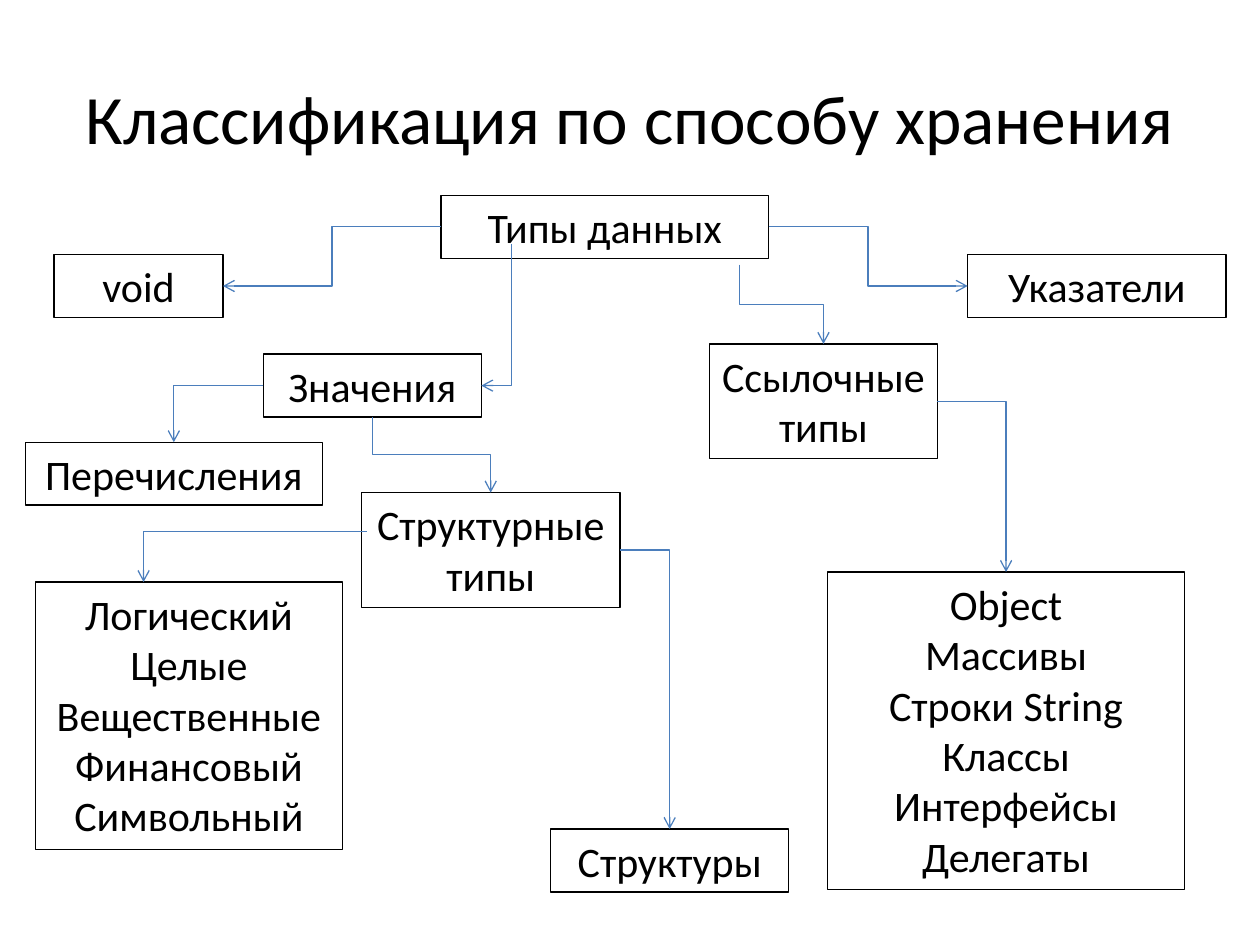
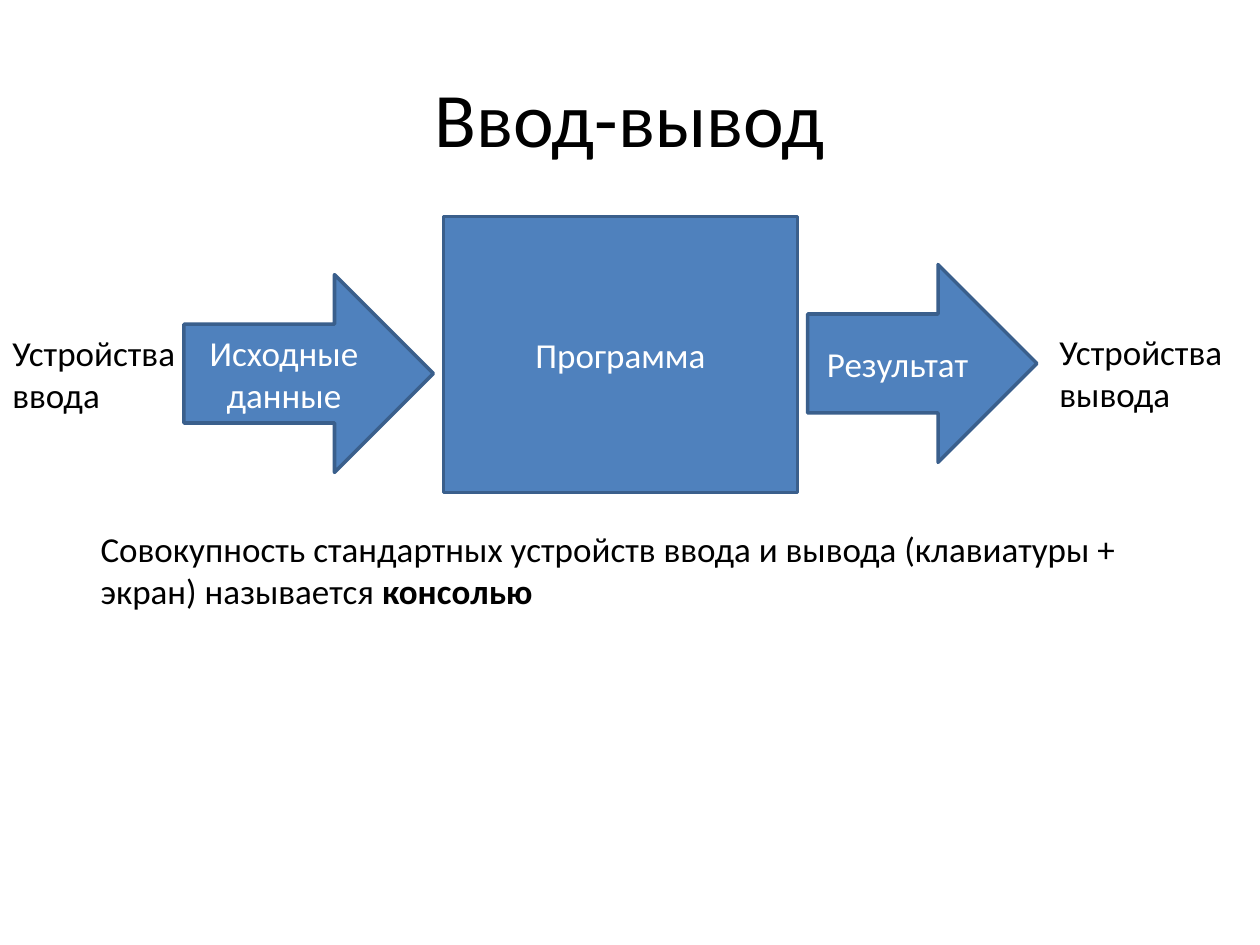
from lxml import etree
from pptx import Presentation
from pptx.dml.color import RGBColor
from pptx.enum import shapes, text
from pptx.oxml.ns import qn
from pptx.util import Inches, Pt

COLORS = {
    "text": "000000",
    "light": "FFFFFF",
    "frame": "000000",
    "arrow": "4B7EBC",
    "block": "4F81BD",
    "block_line": "3A5F8C",
}
FONT = "Calibri"
RECT = shapes.MSO_SHAPE.RECTANGLE
BLOCK_ARROW = shapes.MSO_SHAPE.RIGHT_ARROW
CENTER = text.PP_ALIGN.CENTER
LEFT = text.PP_ALIGN.LEFT
TOP = text.MSO_ANCHOR.TOP
MIDDLE = text.MSO_ANCHOR.MIDDLE


def rgb(name):
    return RGBColor.from_string(COLORS[name])


def point(x, y):
    return Inches(x), Inches(y)


def side(sp, name):
    dx, dy = {"left": (0, 0.5), "right": (1, 0.5), "top": (0.5, 0), "bottom": (0.5, 1)}[name]
    return int(sp.left + sp.width * dx), int(sp.top + sp.height * dy)


class Deck:
    def __init__(self):
        self.prs = Presentation()
        self.prs.slide_width = Inches(10)
        self.prs.slide_height = Inches(7.5)
        self.s = None

    def slide(self, title, size=44):
        self.s = self.prs.slides.add_slide(self.prs.slide_layouts[6])
        self.label([title], (0.5, 0.3, 9, 1.25), size, CENTER, MIDDLE)

    def fill_text(self, sp, lines, size, color="text", align=CENTER, anchor=TOP):
        tf = sp.text_frame
        tf.word_wrap = True
        tf.vertical_anchor = anchor
        for i, line in enumerate(lines):
            p = tf.paragraphs[0] if i == 0 else tf.add_paragraph()
            p.alignment = align
            p.font.size = Pt(size)
            p.font.name = FONT
            p.font.color.rgb = rgb(color)
            p.add_run().text = line

    def label(self, lines, at, size=20, align=LEFT, anchor=TOP):
        sp = self.s.shapes.add_textbox(*map(Inches, at))
        self.fill_text(sp, lines, size, align=align, anchor=anchor)
        return sp

    def shape(self, kind, at, line, width):
        sp = self.s.shapes.add_shape(kind, *map(Inches, at))
        sp.shadow.inherit = False
        sp.line.color.rgb = rgb(line)
        sp.line.width = Pt(width)
        return sp

    def box(self, lines, *at):
        sp = self.shape(RECT, at, "frame", 0.75)
        sp.fill.background()
        self.fill_text(sp, lines, 24)
        return sp

    def block(self, kind, label, *at):
        sp = self.shape(kind, at, "block_line", 2)
        sp.fill.solid()
        sp.fill.fore_color.rgb = rgb("block")
        self.fill_text(sp, [label], 20, "light", anchor=MIDDLE)

    def arrow(self, start, end, bends, vertical=False):
        (x1, y1), (x2, y2) = start, end
        rotation = None
        if vertical:
            rotation = 270 if x2 > x1 else 90
            mx, my = (x1 + x2) // 2, (y1 + y2) // 2
            half_w, half_h = (y2 - y1) // 2, abs(x2 - x1) // 2
            if rotation == 270:
                half_w = -half_w
            x1, x2 = mx - half_w, mx + half_w
            y1, y2 = my - half_h, my + half_h
        c = self.s.shapes.add_connector(shapes.MSO_CONNECTOR.ELBOW, x1, y1, x2, y2)
        c.line.color.rgb = rgb("arrow")
        c.line.width = Pt(0.75)
        pr = c._element.spPr
        pr.find(qn("a:prstGeom")).set("prst", f"bentConnector{bends + 1}")
        if rotation:
            pr.find(qn("a:xfrm")).set("rot", str(rotation * 60000))
        etree.SubElement(pr.find(qn("a:ln")), qn("a:tailEnd"), type="arrow")
        etree.SubElement(pr, qn("a:effectLst"))


def storage_slide(d):
    d.slide("Классификация по способу хранения", 39.6)
    types = d.box(["Типы данных"], 3.5, 1.55, 2.6, 0.5)
    void = d.box(["void"], 0.43, 2.02, 1.34, 0.5)
    pointers = d.box(["Указатели"], 7.68, 2.02, 2.05, 0.5)
    values = d.box(["Значения"], 2.09, 2.81, 1.73, 0.5)
    references = d.box(["Ссылочные типы"], 5.63, 2.73, 1.81, 0.91)
    enums = d.box(["Перечисления"], 0.2, 3.51, 2.36, 0.5)
    structural = d.box(["Структурные типы"], 2.87, 3.91, 2.05, 0.91)
    d.box(["Логический", "Целые", "Вещественные", "Финансовый", "Символьный"],
          0.28, 4.62, 2.44, 2.12)
    structs = d.box(["Структуры"], 4.37, 6.58, 1.89, 0.5)
    objects = d.box(["Object", "Массивы", "Строки String", "Классы", "Интерфейсы", "Делегаты"],
                    6.57, 4.54, 2.83, 2.52)

    d.arrow(side(types, "right"), side(pointers, "left"), 2)
    d.arrow(side(types, "left"), side(void, "right"), 2)
    d.arrow(point(5.87, 2.1), side(references, "top"), 2, vertical=True)
    d.arrow(point(4.06, 1.94), side(values, "right"), 1, vertical=True)
    d.arrow(side(values, "left"), side(enums, "top"), 1)
    d.arrow(side(values, "bottom"), side(structural, "top"), 2, vertical=True)
    d.arrow(point(2.91, 4.22), point(1.14, 4.62), 1)
    d.arrow(side(structural, "right"), side(structs, "top"), 1)
    d.arrow(side(references, "right"), side(objects, "top"), 1)


def console_slide(d):
    d.slide("Ввод-вывод")
    d.block(RECT, "Программа", 3.52, 1.72, 2.81, 2.19)
    d.block(BLOCK_ARROW, "Исходные данные", 1.46, 2.18, 1.98, 1.57)
    d.block(BLOCK_ARROW, "Результат", 6.41, 2.1, 1.82, 1.57)
    sp = d.label(["Совокупность стандартных устройств ввода и вывода "
                  "(клавиатуры + экран) называется "], (0.7, 4.14, 8.44, 0.77))
    r = sp.text_frame.paragraphs[0].add_run()
    r.text = "консолью"
    r.font.bold = True
    d.label(["Устройства ввода"], (0, 2.58, 1.72, 0.77))
    d.label(["Устройства вывода"], (8.31, 2.57, 1.69, 0.77))


def main():
    d = Deck()
    storage_slide(d)
    console_slide(d)
    d.prs.save("out.pptx")


if __name__ == "__main__":
    main()
